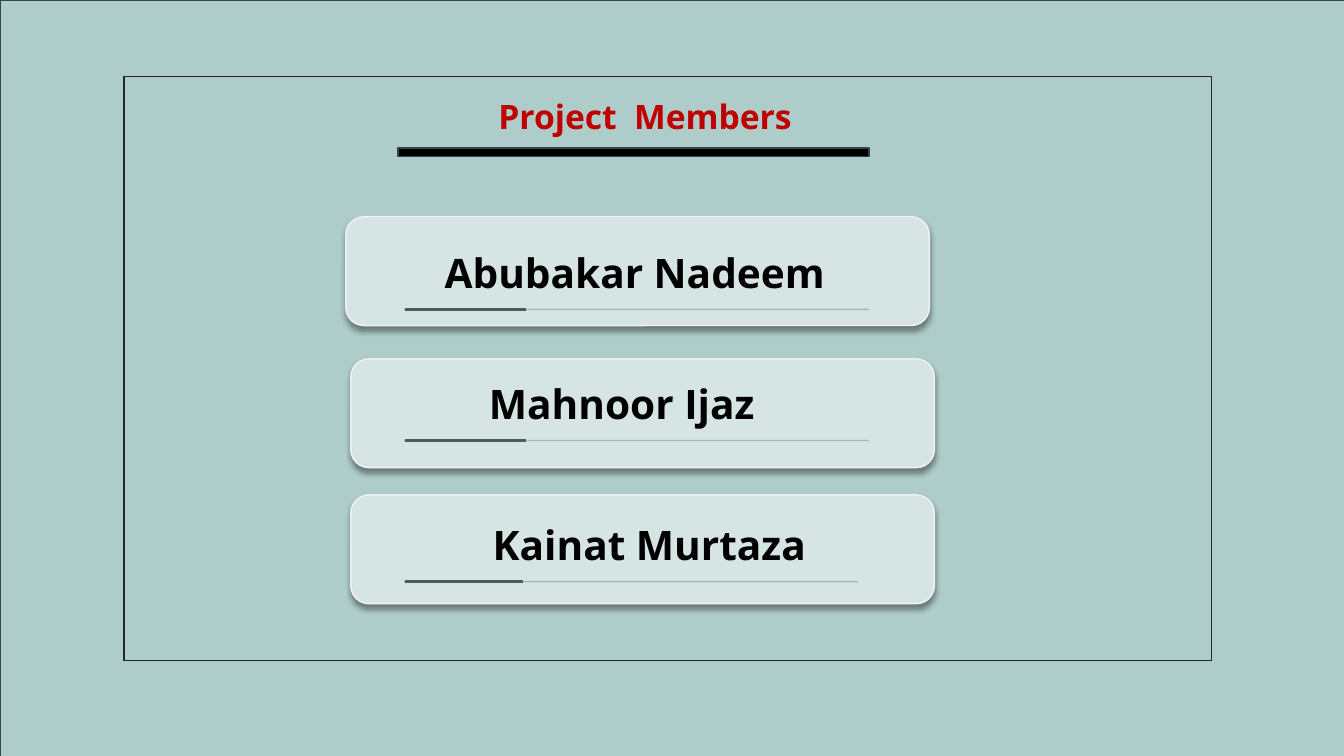
from lxml import etree
from pptx import Presentation
from pptx.dml.color import RGBColor
from pptx.enum.shapes import MSO_CONNECTOR as Conn, MSO_SHAPE as Shape
from pptx.enum.text import MSO_ANCHOR as Anchor, PP_ALIGN as Align
from pptx.oxml import parse_xml
from pptx.oxml.ns import nsdecls, qn
from pptx.util import Emu, Inches, Pt

COLORS = {
    "back": "AECCC9", "edge": "364648", "frame": "262626",
    "card": "D6E5E4", "rim": "F2F2F2", "accent": "485D60",
    "ink": "000000", "title": "C00000",
}
FONT = "Open Sans"
CELL = Inches(13.33333) / 80  # the slide is 80 columns by 45 rows

# Name, card corner, name offset in the card, rule offset, rule length, align
MEMBERS = [
    ("Abubakar Nadeem", (20.58, 12.9), (4.44, 1.56), 3.48, 27.66, Align.CENTER),
    ("Mahnoor Ijaz", (20.88, 21.36), (3.36, 0.9), 3.18, 27.66, Align.CENTER),
    ("Kainat Murtaza", (20.88, 29.46), (7.86, 1.2), 3.18, 27, Align.LEFT),
]


def cells(*counts):
    return [Emu(round(n * CELL)) for n in counts]


def color(name):
    return RGBColor.from_string(COLORS[name])


def add_block(slide, kind, box, fill, line):
    block = slide.shapes.add_shape(kind, *cells(*box))
    block.shadow.inherit = False
    block.fill.solid()
    block.fill.fore_color.rgb = color(fill)
    block.line.color.rgb = color(line)
    block.line.width = Pt(1)
    return block


def add_glow(block):
    """Soft shadow straight below the block."""
    effects = block._element.spPr.find(qn("a:effectLst"))
    effects.append(parse_xml(
        f'<a:outerShdw {nsdecls("a")} blurRad="{Pt(4)}" dist="{Pt(3)}" '
        'dir="5400000" algn="t" rotWithShape="0"><a:srgbClr val="000000">'
        '<a:alpha val="40000"/></a:srgbClr></a:outerShdw>'))


def add_rule(slide, x, y, length, hue, width, alpha=None):
    rule = slide.shapes.add_connector(
        Conn.STRAIGHT, *cells(x, y, x + length, y))
    rule.line.color.rgb = color(hue)
    rule.line.width = Pt(width)
    props = rule._element.spPr
    if alpha:
        tint = props.find(".//" + qn("a:srgbClr"))
        etree.SubElement(tint, qn("a:alpha")).set("val", str(alpha * 1000))
    etree.SubElement(props, qn("a:effectLst"))


def set_text(shape, words, size, hue, align, anchor=Anchor.TOP):
    frame = shape.text_frame
    frame.word_wrap = True
    frame.vertical_anchor = anchor
    frame.text = words
    para = frame.paragraphs[0]
    para.alignment = align
    font = para.font
    font.name, font.size, font.bold = FONT, Pt(size), True
    font.color.rgb = color(hue)


def add_head(slide, box):
    x, y, w, h = box
    title = slide.shapes.title
    title.left, title.top, title.width, title.height = cells(x, y, w, h)
    set_text(title, "Project  Members", 24, "title", Align.CENTER, Anchor.MIDDLE)
    # Bring the title in front of the panels
    slide.shapes._spTree.append(title._element)
    add_block(slide, Shape.RECTANGLE, (x + 7.02, y + 3.36, 28.02, 0.48),
              "ink", "edge")


def add_member(slide, box, name, shift, indent, length, align):
    x, y, w, h = box
    card = add_block(slide, Shape.FLOWCHART_ALTERNATE_PROCESS, box,
                     "card", "rim")
    add_glow(card)
    left, top = x + shift[0], y + shift[1]
    label = slide.shapes.add_textbox(*cells(left, top, 25.56, 3.54))
    set_text(label, name, 29, "ink", align)
    # Faint rule with a dark start
    low = top + 3.96
    add_rule(slide, x + indent, low, length, "ink", 1, alpha=20)
    add_rule(slide, x + indent + 0.06, low, length * 0.26, "accent", 2.5)


def main():
    deck = Presentation()
    deck.slide_width, deck.slide_height = cells(80, 45)
    slide = deck.slides.add_slide(deck.slide_layouts[5])

    # Backdrop and frame
    add_block(slide, Shape.RECTANGLE, (0, 0, 80.16, 45.6), "back", "edge")
    add_block(slide, Shape.RECTANGLE, (7.38, 4.56, 64.74, 34.74),
              "back", "frame")

    # Heading and member cards
    add_head(slide, (16.68, 5.46, 43.44, 2.94))
    for name, corner, shift, indent, length, align in MEMBERS:
        add_member(slide, (*corner, 34.74, 6.48), name, shift, indent,
                   length, align)
    deck.save("out.pptx")


if __name__ == "__main__":
    main()
